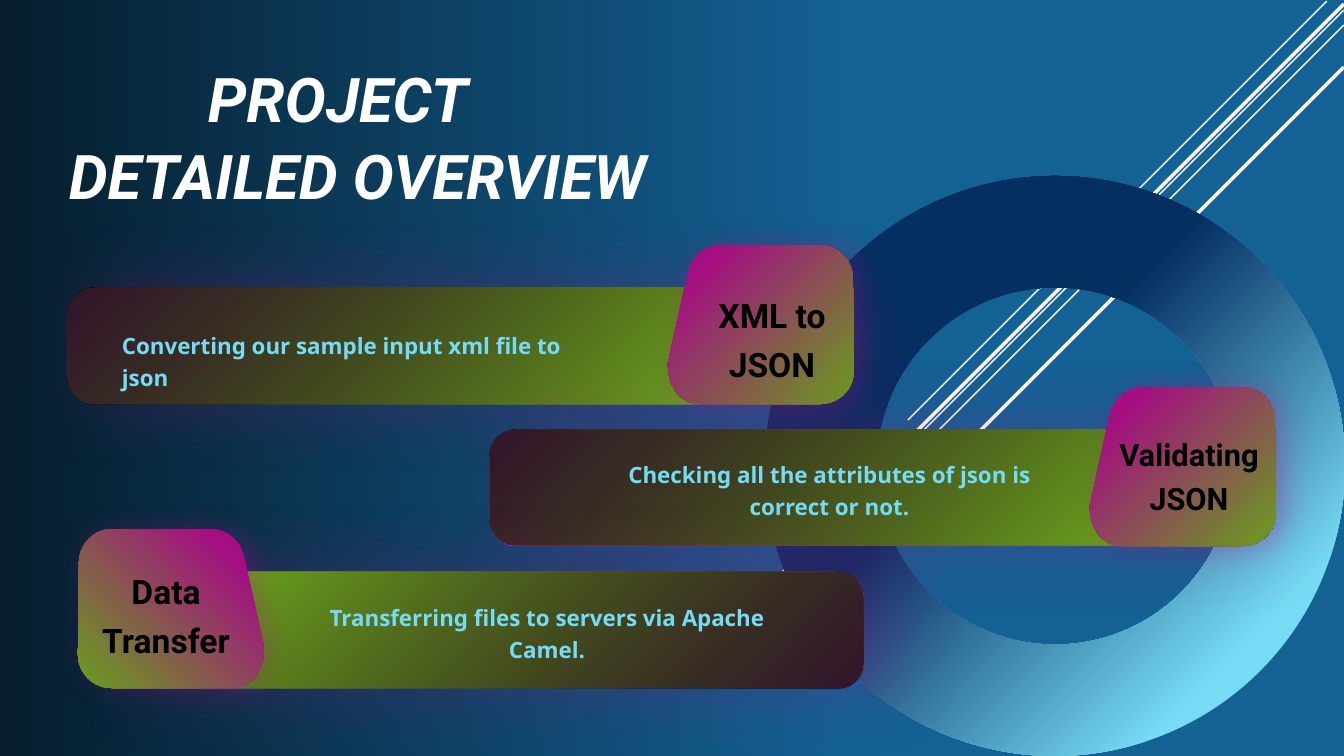
"""Build the project overview slide with three labelled steps."""
from lxml import etree
from pptx import Presentation
from pptx import util as u
from pptx.dml.color import RGBColor
from pptx.enum import shapes, text
from pptx.oxml import parse_xml
from pptx.oxml.ns import nsdecls, qn

SCALE = 12192000 / 1344
THEME = {
    "back": "146194", "white": "FFFFFF", "black": "000000", "navy": "052F61",
    "sky": "76DBF4", "pink": "F266D2", "plum": "A50E82", "green": "6A9E1F",
    "title": {"size": u.Pt(44), "name": "Roboto", "bold": True, "italic": True},
    "body": {"size": u.Pt(16), "name": "Noto Sans", "bold": True},
    "label": {"size": u.Pt(24), "name": "Roboto", "bold": True},
    "small": {"size": u.Pt(22), "name": "Roboto", "bold": True},
}
BAR_W, BAR_H, TAB_W, TAB_H = 753, 116, 187, 159
TAB = [(153, 159), (33, 159), (12, 159), (0, 139), (1, 118), (21, 27),
       (25, 11), (38, 0), (54, 0), (152, 0), (171, 0), (186, 15), (186, 34),
       (187, 125), (187, 144), (172, 159), (153, 159)]


def px(*values):
    return [u.Emu(round(v * SCALE)) for v in values]


def paint(sp, stops, focus=None, glow=None):
    sp.line.fill.background()
    sp.fill.background()
    sp.shadow.inherit = False
    gs = "".join(
        f'<a:gs pos="{pos * 1000}"><a:srgbClr val="{THEME[color]}">'
        f'<a:alpha val="{alpha * 1000}"/></a:srgbClr></a:gs>'
        for pos, color, alpha in stops)
    run = '<a:lin ang="5400000" scaled="0"/>'
    if focus:
        sides = " ".join(f'{k}="{v * 1000}"' for k, v in zip("ltrb", focus))
        run = f'<a:path path="circle"><a:fillToRect {sides}/></a:path>'
    props = sp._element.spPr
    old = props.find(qn("a:noFill"))
    props.replace(old, parse_xml(
        f'<a:gradFill {nsdecls("a")} rotWithShape="1"><a:gsLst>{gs}</a:gsLst>{run}</a:gradFill>'))
    if glow:
        blur, dist = glow
        props.find(qn("a:effectLst")).append(parse_xml(
            f'<a:outerShdw {nsdecls("a")} blurRad="{u.Pt(blur)}" dist="{u.Pt(dist)}" dir="0" '
            f'algn="ctr" rotWithShape="0"><a:srgbClr val="{THEME["plum"]}">'
            '<a:alpha val="28000"/></a:srgbClr></a:outerShdw>'))


prs = Presentation()
prs.slide_width, prs.slide_height = px(1344, 756)
s = prs.slides.add_slide(prs.slide_layouts[6])
s.background.fill.solid()
s.background.fill.fore_color.rgb = RGBColor.from_string(THEME["back"])

for x, y, run, weight in [(1327, 1, 419, 1), (1344, 10, 670, 1), (1344, 25, 546, 1),
                          (1344, 4, 535, 2.5), (1344, 67, 479, 2.5)]:
    ray = s.shapes.add_connector(shapes.MSO_CONNECTOR.STRAIGHT, *px(x, y, x - run, y + run))
    ray.line.color.rgb = RGBColor.from_string(THEME["white"])
    ray.line.width = u.Pt(weight)
    etree.SubElement(ray._element.spPr, qn("a:effectLst"))

shade = s.shapes.add_shape(shapes.MSO_SHAPE.RECTANGLE, *px(43, -43, 756, 842))
shade.rotation = 270
paint(shade, [(0, "black", 70), (100, "black", 0)])

ring = s.shapes.add_shape(shapes.MSO_SHAPE.DONUT, *px(765, 176, 580, 580))
ring.rotation = 270
ring.adjustments[0] = 0.192
ring._element.spPr.xfrm.set("flipV", "1")
paint(ring, [(41, "navy", 100), (82, "sky", 100)], (0, 0, 100, 100))

GLOW = [(0, "pink", 100), (85, "plum", 100)]
BAR_FILL = [(0, "black", 79), (84, "green", 100)]
TAB_FILL = [(0, "green", 100), (84, "plum", 100)]
steps = []
for row, (left, mirrored) in enumerate([(68, False), (490, False), (111, True)]):
    step = s.shapes.add_group_shape().shapes
    steps.append(step)
    top = 288 + 142 * row
    bar_focus = (100, 100, 0, 0) if mirrored else (0, 0, 100, 100)
    tab_focus = (0, 100, 100, 0) if mirrored else (100, 100, 0, 0)

    for stops, glow in [(GLOW, (53, 20)), (BAR_FILL, None)]:
        bar = step.add_shape(shapes.MSO_SHAPE.ROUNDED_RECTANGLE, *px(left, top, BAR_W, BAR_H))
        bar.adjustments[0] = 0.23
        if mirrored:
            bar._element.spPr.xfrm.set("flipH", "1")
        paint(bar, stops, bar_focus, glow)

    tab_left = left + (BAR_W - 599 - TAB_W if mirrored else 599)
    points = [(tab_left + (TAB_W - x if mirrored else x), top + BAR_H - TAB_H + y)
              for x, y in TAB]
    for stops, glow in [(GLOW, (20, 5)), (TAB_FILL, None)]:
        outline = step.build_freeform(*points[0], scale=SCALE)
        outline.add_line_segments(points[1:], close=True)
        tab = outline.convert_to_shape()
        edges = list(tab._element.iter(qn("a:lnTo")))
        for first in range(1, len(edges), 4):
            curve = etree.Element(qn("a:cubicBezTo"))
            edges[first].addprevious(curve)
            for edge in edges[first:first + 3]:
                curve.append(edge[0])
                edge.getparent().remove(edge)
        paint(tab, stops, tab_focus, glow)

LEFT, CENTER = text.PP_ALIGN.LEFT, text.PP_ALIGN.CENTER
for home, box, words, style, color, align in [
    (steps[0], (112, 322, 497, 39), "Converting our sample input xml file to json", "body", "sky", LEFT),
    (steps[0], (690, 282, 164, 103), "XML to JSON", "label", "black", CENTER),
    (steps[1], (591, 451, 477, 76), "Checking all the attributes of json is correct or not.",
     "body", "sky", CENTER),
    (steps[1], (1091, 423, 196, 95), "Validating JSON", "small", "black", CENTER),
    (steps[2], (297, 594, 500, 73), "Transferring files to servers via Apache Camel.",
     "body", "sky", CENTER),
    (steps[2], (84, 558, 164, 103), "Data Transfer", "label", "black", CENTER),
    (s.shapes, (198, 56, 303, 85), "PROJECT", "title", "white", LEFT),
    (s.shapes, (59, 133, 722, 85), "DETAILED OVERVIEW ", "title", "white", LEFT),
]:
    tf = home.add_textbox(*px(*box)).text_frame
    tf.word_wrap = style != "title"
    tf.auto_size = text.MSO_AUTO_SIZE.SHAPE_TO_FIT_TEXT
    p = tf.paragraphs[0]
    p.alignment = align
    if style != "title":
        p.line_spacing = 1.2
    r = p.add_run()
    r.text = words
    r.font.color.rgb = RGBColor.from_string(THEME[color])
    for key, value in THEME[style].items():
        setattr(r.font, key, value)

prs.save("out.pptx")
